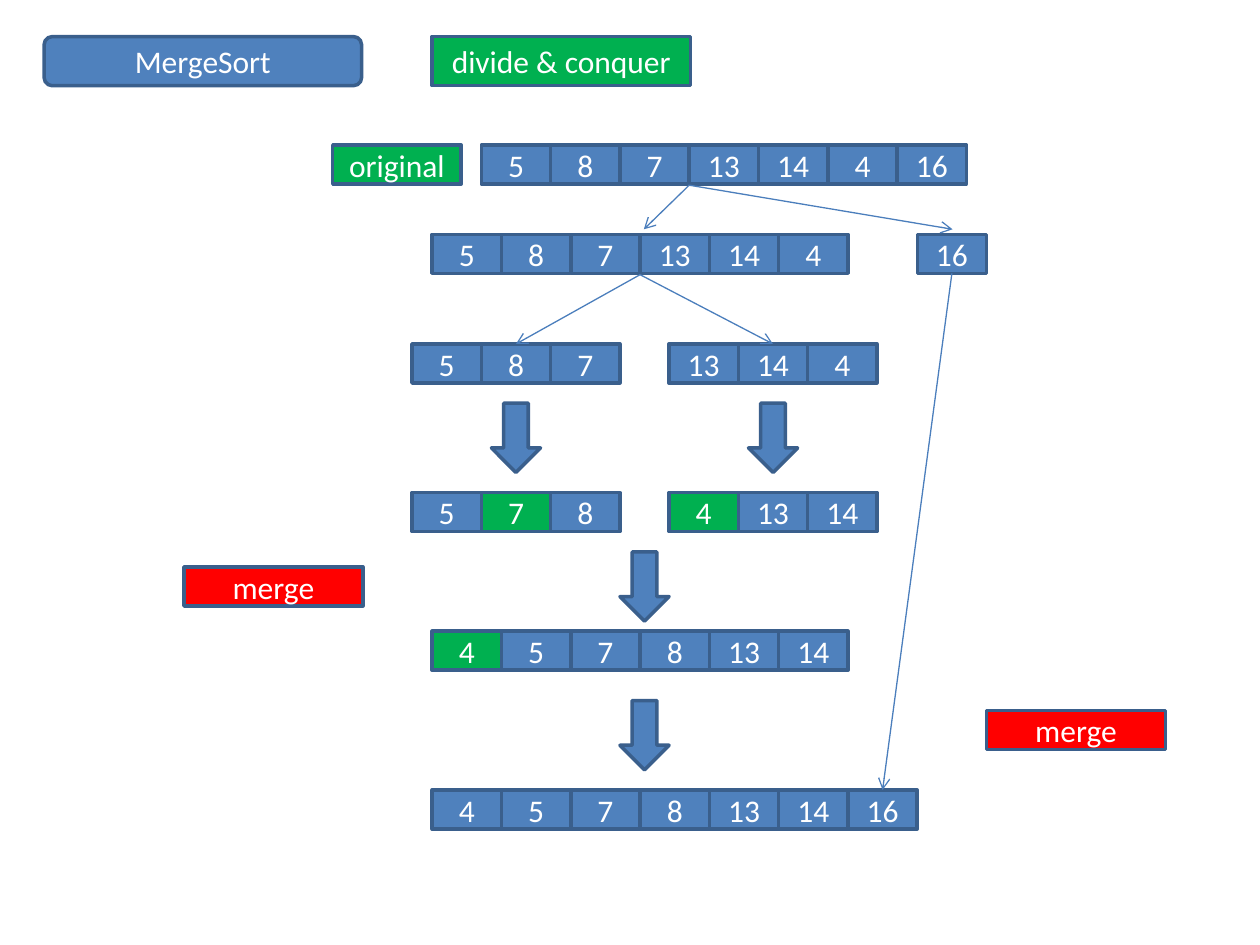
import lxml.etree
import pptx
import pptx.dml.color
import pptx.enum.shapes
import pptx.enum.text
import pptx.oxml.ns
import pptx.util

Inches = pptx.util.Inches
RGBColor = pptx.dml.color.RGBColor
Preset = pptx.enum.shapes.MSO_SHAPE

BLUE = RGBColor(0x4F, 0x81, 0xBD)
BORDER = RGBColor(0x3A, 0x5F, 0x8C)
LINK = RGBColor(0x4B, 0x7E, 0xBC)
GREEN = RGBColor(0x00, 0xB0, 0x50)
RED = RGBColor(0xFF, 0x00, 0x00)
WHITE = RGBColor(0xFF, 0xFF, 0xFF)

CELL = 0.55
HEIGHT = 0.31
TOP, BOTTOM = 0, 2


def write(box, text, font="Calibri", size=18, color=WHITE):
    frame = box.text_frame
    frame.word_wrap = True
    frame.vertical_anchor = pptx.enum.text.MSO_ANCHOR.MIDDLE
    para = frame.paragraphs[0]
    para.alignment = pptx.enum.text.PP_ALIGN.CENTER
    span = para.add_run()
    span.text = text
    span.font.name = font
    span.font.size = pptx.util.Pt(size)
    span.font.color.rgb = color


class Diagram:
    def __init__(self, page):
        self.page = page
        self.border_width = pptx.util.Pt(2)
        self.link_width = pptx.util.Pt(0.75)

    def shape(self, preset, left, top, width, height, fill=BLUE):
        box = self.page.shapes.add_shape(
            preset, Inches(left), Inches(top), Inches(width), Inches(height))
        box.shadow.inherit = False
        box.fill.solid()
        box.fill.fore_color.rgb = fill
        box.line.color.rgb = BORDER
        box.line.width = self.border_width
        return box

    def label(self, text, left, top, width, height=HEIGHT, fill=BLUE,
              preset=Preset.RECTANGLE):
        box = self.shape(preset, left, top, width, height, fill)
        write(box, text)
        return box

    def array(self, values, left, top, marked=None):
        return [
            self.label(str(value), left + index * CELL, top, CELL,
                       fill=GREEN if value == marked else BLUE)
            for index, value in enumerate(values)
        ]

    def down_arrow(self, left, top):
        self.shape(Preset.DOWN_ARROW, left, top, 0.39, 0.55)

    def link(self, start=(0, 0), end=(0, 0), source=None, target=None):
        points = [Inches(value) for value in (*start, *end)]
        connector = self.page.shapes.add_connector(
            pptx.enum.shapes.MSO_CONNECTOR.STRAIGHT, *points)
        if source is not None:
            connector.begin_connect(source, BOTTOM)
        if target is not None:
            connector.end_connect(target, TOP)
        connector.line.color.rgb = LINK
        connector.line.width = self.link_width
        qn = pptx.oxml.ns.qn
        lxml.etree.SubElement(
            connector.line._get_or_add_ln(), qn("a:tailEnd"), type="arrow")
        lxml.etree.SubElement(connector._element.spPr, qn("a:effectLst"))


def main():
    deck = pptx.Presentation()
    deck.slide_width = Inches(10)
    deck.slide_height = Inches(7.5)
    diagram = Diagram(deck.slides.add_slide(deck.slide_layouts[6]))

    diagram.label("MergeSort", 0.35, 0.29, 2.52, 0.39,
                  preset=Preset.ROUNDED_RECTANGLE)
    diagram.label("divide & conquer", 3.43, 0.29, 2.05, 0.39, fill=GREEN)
    diagram.label("original", 2.64, 1.15, 1.02, fill=GREEN)
    diagram.label("merge", 1.46, 4.5, 1.42, fill=RED)
    diagram.label("merge", 7.83, 5.64, 1.42, fill=RED)

    diagram.array([5, 8, 7, 13, 14, 4, 16], 3.82, 1.15)
    diagram.array([5, 8, 7, 13, 14, 4], 3.43, 1.86)
    last_value = diagram.array([16], 7.28, 1.86)[0]
    left_half = diagram.array([5, 8, 7], 3.27, 2.73)
    right_half = diagram.array([13, 14, 4], 5.31, 2.73)
    diagram.array([5, 7, 8], 3.27, 3.91, marked=7)
    diagram.array([4, 13, 14], 5.31, 3.91, marked=4)
    diagram.array([4, 5, 7, 8, 13, 14], 3.43, 5.01, marked=4)
    result = diagram.array([4, 5, 7, 8, 13, 14, 16], 3.43, 6.27)

    for left, top in ((3.9, 3.2), (5.94, 3.2), (4.92, 4.38), (4.92, 5.56)):
        diagram.down_arrow(left, top)

    for end in ((5.11, 1.82), (7.56, 1.82)):
        diagram.link(start=(5.47, 1.47), end=end)
    for half in (left_half, right_half):
        diagram.link(start=(5.08, 2.18), target=half[1])
    diagram.link(source=last_value, target=result[-1])

    deck.save("out.pptx")


if __name__ == "__main__":
    main()
